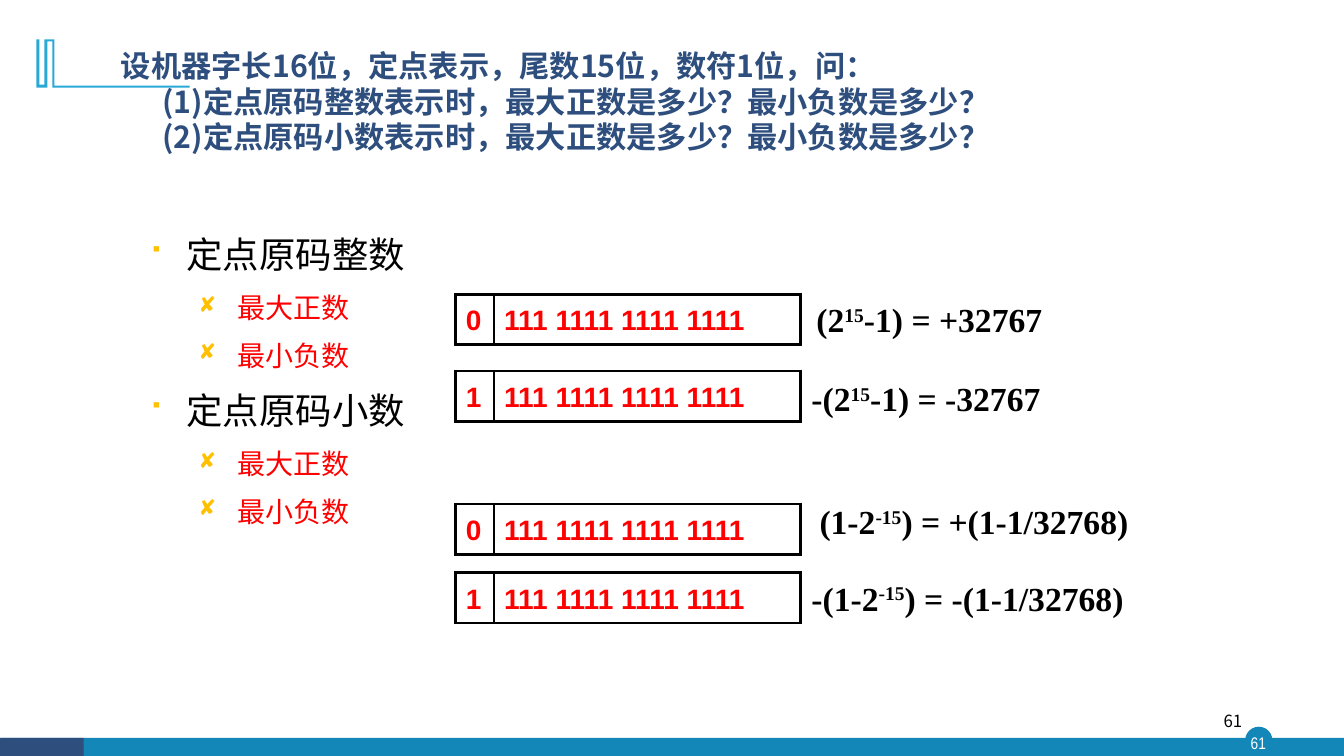
from lxml import etree
from pptx import Presentation
from pptx.dml.color import RGBColor
from pptx.enum import shapes, text
from pptx.oxml.ns import qn
from pptx.util import Inches, Pt

COLORS = {"navy": "2E4E7E", "teal": "1387B7", "sky": "28A9D6", "gold": "FFC000",
          "red": "FF0000", "black": "000000", "white": "FFFFFF"}
CJK, DIGITS, FORMULA, NARROW = "Noto Sans CJK SC", "Arial", "Times New Roman", "Arial Narrow"


def rgb(name):
    return RGBColor.from_string(COLORS[name])


def style(paragraph, face, size, color, bold=False):
    font = paragraph.font
    font.name, font.size, font.bold = face, Pt(size), bold
    font.color.rgb = rgb(color)
    defaults = paragraph._p.pPr.find(qn("a:defRPr"))
    etree.SubElement(defaults, qn("a:ea")).set("typeface", face)


def set_indent(paragraph, left, first=0):
    props = paragraph._p.get_or_add_pPr()
    props.set("marL", str(Inches(left)))
    props.set("indent", str(Inches(first)))
    return props


def add_text_box(slide, left, top, width, height, wrap=True):
    frame = slide.shapes.add_textbox(
        Inches(left), Inches(top), Inches(width), Inches(height)).text_frame
    frame.word_wrap = wrap
    return frame


def paint(shape, color):
    shape.shadow.inherit = False
    shape.fill.solid()
    shape.fill.fore_color.rgb = rgb(color)
    shape.line.fill.background()


def add_page_number(slide, left, top, width, height, align, face, color):
    frame = add_text_box(slide, left, top, width, height)
    frame.vertical_anchor = text.MSO_ANCHOR.MIDDLE
    if align == text.PP_ALIGN.CENTER:
        frame.margin_left = frame.margin_right = frame.margin_top = frame.margin_bottom = 0
    number = frame.paragraphs[0]
    number.text, number.alignment = "61", align
    style(number, face, 12, color)


def add_footer(slide, top):
    kinds = shapes.MSO_SHAPE
    for kind, left, y, width, height, color in (
            (kinds.OVAL, 12.35, top - 0.11, 0.27, 0.27, "teal"),
            (kinds.RECTANGLE, 0.01, top, 13.32, 0.19, "teal"),
            (kinds.RECTANGLE, 0, top, 0.83, 0.19, "navy")):
        paint(slide.shapes.add_shape(
            kind, Inches(left), Inches(y), Inches(width), Inches(height)), color)
    add_page_number(slide, 12.32, top - 0.11, 0.32, 0.31, text.PP_ALIGN.CENTER, NARROW, "white")
    add_page_number(slide, 9.42, top - 0.37, 3, 0.4, text.PP_ALIGN.RIGHT, CJK, "black")


def add_corner_mark(slide, left, top):
    outline = [(0.18, 0), (0.18, 0.46), (1.52, 0.46), (1.52, 0.48), (0.16, 0.48),
               (0.16, 0.02), (0.11, 0.02), (0.11, 0.48), (0, 0.48), (0, 0),
               (0.03, 0), (0.03, 0.45), (0.08, 0.45), (0.08, 0)]
    points = [(Inches(left + x), Inches(top + y)) for x, y in outline]
    builder = slide.shapes.build_freeform(*points[0])
    builder.add_line_segments(points[1:], close=True)
    paint(builder.convert_to_shape(), "sky")


def add_question(slide, left, top, width, height):
    title = slide.shapes.title
    title.left, title.top, title.width, title.height = map(Inches, (left, top, width, height))
    frame = title.text_frame
    frame.auto_size = text.MSO_AUTO_SIZE.NONE
    frame.vertical_anchor = text.MSO_ANCHOR.TOP
    frame.margin_top = Inches(0.4)
    frame.text = ("设机器字长16位，定点表示，尾数15位，数符1位，问：\n"
                  "(1)定点原码整数表示时，最大正数是多少？最小负数是多少？\n"
                  "(2)定点原码小数表示时，最大正数是多少？最小负数是多少？")
    for index, line in enumerate(frame.paragraphs):
        set_indent(line, 0.41 if index else 0)
        line.alignment = text.PP_ALIGN.LEFT
        line.line_spacing = 0.98
        line.space_before = Pt(0)
        style(line, CJK, 21.6, "navy", True)


def add_outline(slide, left, top, width, height):
    frame = add_text_box(slide, left, top, width, height)
    frame.margin_top = Inches(0.07)
    cases = ["最大正数", "最小负数"]
    frame.text = "\n".join(["定点原码整数", *cases, "定点原码小数", *cases])
    for index, item in enumerate(frame.paragraphs):
        heading = index % 3 == 0
        props = set_indent(item, *((0.38, -0.38) if heading else (0.89, -0.39)))
        item.level = 0 if heading else 1
        item.alignment = text.PP_ALIGN.JUSTIFY
        item.line_spacing = 1.1
        item.space_before = Pt(0 if index == 0 else 4.7 if heading else 3.7)
        item.space_after = Pt(4.7 if heading else 3.7)
        bullet_color = etree.SubElement(props, qn("a:buClr"))
        etree.SubElement(bullet_color, qn("a:srgbClr")).set("val", COLORS["gold"])
        etree.SubElement(props, qn("a:buFont")).set("typeface", "Wingdings")
        etree.SubElement(props, qn("a:buChar")).set("char", "■" if heading else "◻")
        style(item, CJK, 26 if heading else 20, "black" if heading else "red")


def set_border(cell, side, width):
    line = etree.SubElement(cell._tc.get_or_add_tcPr(), qn("a:ln" + side))
    line.set("w", str(Pt(width)))
    fill = etree.SubElement(line, qn("a:solidFill"))
    etree.SubElement(fill, qn("a:srgbClr")).set("val", COLORS["black"])


def add_register(slide, left, top, sign):
    widths = (0.38, 3.04)
    table = slide.shapes.add_table(
        1, 2, Inches(left), Inches(top), Inches(sum(widths)), Inches(0.5)).table
    table.first_row = table.horz_banding = False
    for column, (bits, width) in enumerate(zip((sign, "111 1111 1111 1111"), widths)):
        table.columns[column].width = Inches(width)
        cell = table.cell(0, column)
        inner_side = "L" if column else "R"
        for side in "LRTB":
            set_border(cell, side, 1 if side == inner_side else 2.25)
        cell.fill.background()
        digits = cell.text_frame.paragraphs[0]
        digits.text = bits
        digits.line_spacing = 1.2
        style(digits, DIGITS, 20, "red", True)


def add_value(slide, left, top, width, parts):
    value = add_text_box(slide, left, top, width, 0.5, wrap=False).paragraphs[0]
    style(value, FORMULA, 24, "black", True)
    for index, part in enumerate(parts):
        run = value.add_run()
        run.text = part
        if index == 1:
            run._r.get_or_add_rPr().set("baseline", "30000")


def build_slide(deck):
    slide = deck.slides.add_slide(deck.slide_layouts[5])
    add_footer(slide, 7.32)
    add_corner_mark(slide, 0.36, 0.39)
    add_question(slide, 1.1, 0.09, 9.92, 1.57)
    add_outline(slide, 1.37, 2.19, 10.22, 4.92)
    # Each register with its value: sign bit, tops, value left and width, formula
    for sign, top, value_left, value_top, width, parts in (
            ("0", 2.92, 8, 2.92, 2.47, ("(2", "15", "-1) = +32767")),
            ("1", 3.68, 7.95, 3.7, 2.5, ("-(2", "15", "-1) = -32767")),
            ("0", 5, 8.03, 4.92, 3.3, ("(1-2", "-15", ") = +(1-1/32768)")),
            ("1", 5.68, 7.95, 5.68, 3.33, ("-(1-2", "-15", ") = -(1-1/32768)"))):
        add_register(slide, 4.52, top, sign)
        add_value(slide, value_left, value_top, width, parts)


def main():
    deck = Presentation()
    deck.slide_width, deck.slide_height = Inches(13.33), Inches(7.5)
    build_slide(deck)
    deck.save("out.pptx")


if __name__ == "__main__":
    main()
